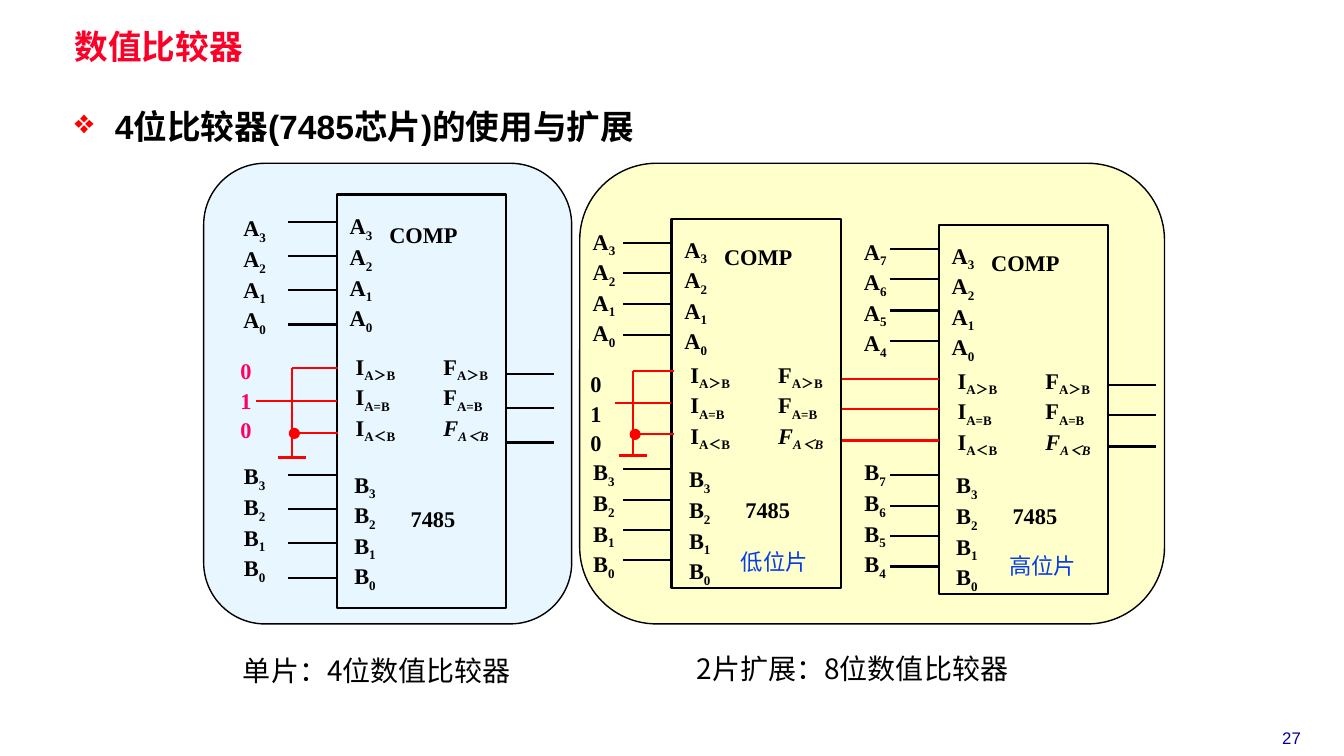
import pptx
import pptx.util
import pptx.dml.color
import pptx.enum.shapes
import pptx.enum.text
import pptx.oxml.ns
from lxml import etree

SCALE = 9144  # EMU per px, 100 px to the inch
SHAPE = pptx.enum.shapes.MSO_SHAPE
ALIGN = pptx.enum.text.PP_ALIGN
qn = pptx.oxml.ns.qn


class Theme:
    black, red, pink = "000000", "FF0000", "FF0066"
    title, blue, navy = "FC0128", "063DE8", "000099"
    cream, sky = "FFFFCC", "E7F6FF"
    serif, sans, han = "Times New Roman", "Arial", "Noto Sans CJK SC"
    head, note, label, foot = 24, 20, 16, 12
    thin, wire, thick = 1, 1.5, 2.25


def px(n):
    return round(n * SCALE)


def rgb(code):
    return pptx.dml.color.RGBColor.from_string(code)


# Text
def add_run(para, words, font, size, color, bold=False, sub=False, slant=False):
    run = para.add_run()
    run.text = words
    face = run.font
    face.name, face.size, face.bold = font, pptx.util.Pt(size), bold
    face.color.rgb = rgb(color)
    if slant:
        face.italic = True
    props = run._r.get_or_add_rPr()
    if sub:
        props.set("baseline", "-25000")
    etree.SubElement(props, qn("a:ea")).set("typeface", Theme.han)


def add_box(slide, x, y, w, h, pad=(10, 5)):
    frame = slide.shapes.add_textbox(px(x), px(y), px(w), px(h)).text_frame
    frame.word_wrap = True
    frame.margin_left = frame.margin_right = px(pad[0])
    frame.margin_top = frame.margin_bottom = px(pad[1])
    return frame


def add_line(slide, box, words, font, size, color, bold=False,
             align=ALIGN.LEFT, gap=None, pad=(10, 5), mark=None):
    para = add_box(slide, *box, pad).paragraphs[0]
    if mark:
        props = para._p.get_or_add_pPr()
        props.set("marL", str(px(40)))
        props.set("indent", str(px(-40)))
        tint = etree.SubElement(props, qn("a:buClr"))
        etree.SubElement(tint, qn("a:srgbClr")).set("val", Theme.red)
        etree.SubElement(props, qn("a:buChar")).set("char", mark)
    para.alignment = align
    if gap:
        para.line_spacing = gap
    add_run(para, words, font, size, color, bold)


def add_list(slide, box, rows, align=ALIGN.CENTER, color=Theme.black,
             gap=None, slant=None):
    """Rows are (base, subscript) pairs; row number slant is italic."""
    frame = add_box(slide, *box)
    for i, row in enumerate(rows):
        para = frame.paragraphs[0] if i == 0 else frame.add_paragraph()
        para.alignment = align
        if gap:
            para.line_spacing = gap
        for j, words in enumerate(row):
            add_run(para, words, Theme.serif, Theme.label, color, True,
                    sub=j == 1, slant=i == slant)


def bits(name, top=3):
    return [(name, str(top - i)) for i in range(4)]


def flags(name):
    return [(name, test) for test in ("A＞B", "A=B", "A＜B")]


# Shapes and wires
def add_form(slide, kind, box, fill=None, line=Theme.black, width=Theme.thin):
    form = slide.shapes.add_shape(kind, *map(px, box))
    form.shadow.inherit = False
    if fill:
        form.fill.solid()
        form.fill.fore_color.rgb = rgb(fill)
    else:
        form.fill.background()
    form.line.color.rgb = rgb(line)
    form.line.width = pptx.util.Pt(width)
    return form


def add_wire(slide, x1, y1, x2, y2, color=Theme.black, width=Theme.wire, end=None):
    wire = slide.shapes.add_connector(
        pptx.enum.shapes.MSO_CONNECTOR.STRAIGHT, px(x1), px(y1), px(x2), px(y2))
    wire.line.color.rgb = rgb(color)
    wire.line.width = pptx.util.Pt(width)
    etree.SubElement(wire._element.spPr, qn("a:effectLst"))
    if end is not None:
        wire.end_connect(end, 1)


# Chip: inner offsets scale with its height
def add_chip(slide, x, y, h):
    def at(n):
        return round(n * h / 410)

    body = add_form(slide, SHAPE.RECTANGLE, (x, y, 168, h), width=Theme.wire)
    add_list(slide, (x + 9, y + at(152), 73, at(98)), flags("I"), ALIGN.JUSTIFY)
    add_list(slide, (x + 96, y + at(152), 86, at(117)), flags("F"),
             ALIGN.JUSTIFY, slant=2)
    add_list(slide, (x - 12, y + at(13), 72, at(139)), bits("A"))
    add_list(slide, (x - 8, y + at(269), 72, at(139)), bits("B"))
    add_list(slide, (x + 38, y + at(21), 96, at(45)), [("COMP",)])
    add_list(slide, (x + 57, y + at(303), 77, at(41)), [("7485",)])
    for first in (27, 278):
        for i in range(4):
            pin = y + at(first + 34 * i)
            add_wire(slide, x - 48, pin, x, pin)
    return body, [y + at(178 + 34 * i) for i in range(3)]


def add_ground(slide, body, x, start, end, high, mid, low, base):
    red = Theme.red
    add_wire(slide, x, high, end, high, red)
    add_wire(slide, start, mid, end, mid, red, end=body)
    add_wire(slide, x, low, end, low, red)
    add_wire(slide, x, base, x, high, red)
    add_wire(slide, x - 14, base, x + 14, base, red, Theme.thick)
    add_form(slide, SHAPE.OVAL, (x - 3, low - 5, 10, 10), red, red, 0.75)


def main():
    deck = pptx.Presentation()
    deck.slide_width, deck.slide_height = px(1333), px(750)
    slide = deck.slides.add_slide(deck.slide_layouts[6])
    t = Theme

    # Panels
    add_form(slide, SHAPE.ROUNDED_RECTANGLE, (575, 162, 580, 457), t.cream)
    add_form(slide, SHAPE.ROUNDED_RECTANGLE, (202, 162, 365, 457), t.sky)

    # Headings, captions and page number
    add_line(slide, (67, 28, 797, 41), "数值比较器", t.serif, t.head, t.title,
             True, gap=0.87, pad=(7, 3))
    add_line(slide, (67, 98, 656, 47), "4位比较器(7485芯片)的使用与扩展", t.sans,
             t.head, t.black, True, gap=1.1, pad=(7, 3), mark="❖")
    add_line(slide, (234, 642, 314, 40), "单片：4位数值比较器", t.han, t.note,
             t.black, gap=1.1, pad=(7, 3))
    add_line(slide, (681, 641, 452, 44), "2片扩展：8位数值比较器", t.han, t.note, t.black)
    add_line(slide, (1234, 717, 94, 30), "27", t.sans, t.foot, t.navy, align=ALIGN.CENTER)

    # Chips
    lone, lone_outs = add_chip(slide, 334, 193, 410)
    low, low_outs = add_chip(slide, 666, 217, 366)
    high, high_outs = add_chip(slide, 931, 223, 366)
    for x, outs in ((501, lone_outs), (1099, high_outs)):
        for y in outs:
            add_wire(slide, x, y, x + 48, y)
    for i, y in enumerate(low_outs):
        add_wire(slide, 835, y, 931, y, t.red, end=high if i == 1 else None)
    add_line(slide, (725, 539, 88, 37), "低位片", t.han, t.label, t.blue)
    add_line(slide, (991, 543, 96, 37), "高位片", t.han, t.label, t.blue)

    # Input labels
    for x, w, a_top, b_top, top in ((224, 57, 208, 454, 3), (575, 48, 221, 450, 3),
                                    (844, 48, 231, 450, 7)):
        add_list(slide, (x, a_top, w, 117), bits("A", top))
        add_list(slide, (x, b_top, w, 117), bits("B", top))

    # Cascade inputs
    for x, y, color in ((220, 347, t.pink), (567, 360, t.black)):
        add_list(slide, (x, y, 48, 98), [("0",), ("1",), ("0",)], color=color, gap=1.1)
    add_ground(slide, lone, 290, 254, 335, 365, 398, 430, 454)
    add_ground(slide, low, 628, 610, 668, 368, 400, 431, 452)

    deck.save("out.pptx")


if __name__ == "__main__":
    main()
